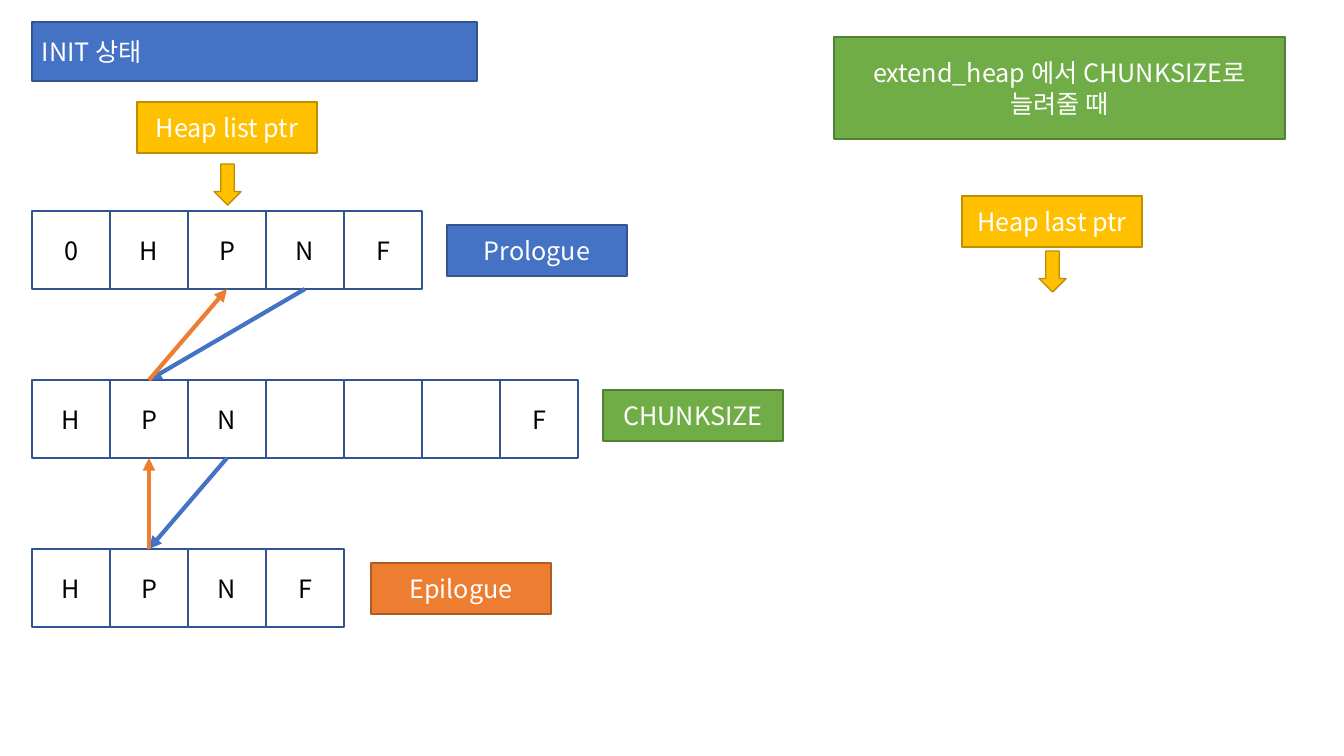
import dataclasses

import lxml.etree
import pptx
import pptx.dml.color
import pptx.enum.dml
import pptx.enum.shapes
import pptx.enum.text
import pptx.oxml.ns
import pptx.shapes.autoshape
import pptx.shapes.shapetree
import pptx.util

SHAPE = pptx.enum.shapes.MSO_SHAPE
ALIGN = pptx.enum.text.PP_ALIGN
TOP_SITE, BOTTOM_SITE = 0, 2  # connection sites of a rectangle


@dataclasses.dataclass(frozen=True)
class Paint:
    fill: str
    line: str
    text: str = "FFFFFF"


@dataclasses.dataclass(frozen=True)
class Theme:
    blue: Paint = Paint("4472C4", "325491")
    green: Paint = Paint("70AD47", "538035")
    orange: Paint = Paint("ED7D31", "AF5C24")
    yellow: Paint = Paint("FFC000", "BD8E00")
    cell: Paint = Paint("FFFFFF", "325491", "000000")
    font: str = "Noto Sans CJK KR"
    size: int = 18
    outline: int = 1
    link: int = 3


@dataclasses.dataclass(frozen=True)
class Box:
    text: str
    left: int
    top: int
    width: int
    height: int
    paint: Paint
    align: ALIGN = ALIGN.CENTER
    kind: SHAPE = SHAPE.RECTANGLE
    rotation: int = 0


@dataclasses.dataclass(frozen=True)
class Pointer:
    text: str
    left: int
    top: int
    arrow_drop: int  # from the label's top to the arrow's centre


@dataclasses.dataclass(frozen=True)
class Link:
    start: tuple[int, int]  # row, column
    end: tuple[int, int]
    paint: Paint


THEME = Theme()
SCALE = 914400 / 100.8
LEFT, FIRST_ROW, CELL, ROW_PITCH = 32, 211, 78, 169
LABEL_W, LABEL_H = 180, 51
ARROW_W, ARROW_H = 41, 27

HEADINGS = [
    Box("INIT 상태", 32, 22, 445, 59, THEME.blue, ALIGN.LEFT),
    Box("extend_heap 에서 CHUNKSIZE로 늘려줄 때", 834, 37, 451, 102, THEME.green),
]
BLOCKS = [
    ["0", "H", "P", "N", "F"],
    ["H", "P", "N", "", "", "", "F"],
    ["H", "P", "N", "F"],
]
LABELS = [
    Box("Prologue", 447, 225, LABEL_W, LABEL_H, THEME.blue),
    Box("CHUNKSIZE", 603, 390, LABEL_W, LABEL_H, THEME.green),
    Box("Epilogue", 371, 563, LABEL_W, LABEL_H, THEME.orange),
]
POINTERS = [
    Pointer("Heap list ptr", 137, 102, 82),
    Pointer("Heap last ptr", 962, 196, 75),
]
LINKS = [
    Link((0, 3), (1, 1), THEME.blue),
    Link((1, 2), (2, 1), THEME.blue),
    Link((2, 1), (1, 1), THEME.orange),
    Link((1, 1), (0, 2), THEME.orange),
]


def px(n: float) -> int:
    return round(n * SCALE)


def rgb(code: str) -> pptx.dml.color.RGBColor:
    return pptx.dml.color.RGBColor.from_string(code)


def draw_box(shapes: pptx.shapes.shapetree.SlideShapes,
             box: Box) -> pptx.shapes.autoshape.Shape:
    sp = shapes.add_shape(box.kind, px(box.left), px(box.top),
                          px(box.width), px(box.height))
    sp.shadow.inherit = False
    sp.rotation = box.rotation
    sp.fill.solid()
    sp.fill.fore_color.rgb = rgb(box.paint.fill)
    sp.line.color.rgb = rgb(box.paint.line)
    sp.line.width = pptx.util.Pt(THEME.outline)
    if box.text:
        tf = sp.text_frame
        tf.text = box.text
        tf.word_wrap = True
        tf.vertical_anchor = pptx.enum.text.MSO_ANCHOR.MIDDLE
        p = tf.paragraphs[0]
        p.alignment = box.align
        f = p.runs[0].font
        f.size = pptx.util.Pt(THEME.size)
        f.color.rgb = rgb(box.paint.text)
        f.name = THEME.font
        # Hangul takes its face from the East Asian font
        lxml.etree.SubElement(p.runs[0]._r.rPr, pptx.oxml.ns.qn("a:ea"),
                              typeface=THEME.font)
    return sp


def draw_pointer(shapes: pptx.shapes.shapetree.SlideShapes, ptr: Pointer) -> None:
    group = shapes.add_group_shape().shapes
    arrow_left = ptr.left + (LABEL_W - ARROW_W) // 2 + 1
    arrow_top = ptr.top + ptr.arrow_drop - ARROW_H // 2
    draw_box(group, Box("", arrow_left, arrow_top, ARROW_W, ARROW_H, THEME.yellow,
                        kind=SHAPE.RIGHT_ARROW, rotation=90))
    draw_box(group, Box(ptr.text, ptr.left, ptr.top, LABEL_W, LABEL_H, THEME.yellow))


def draw_link(shapes: pptx.shapes.shapetree.SlideShapes, link: Link,
              cells: dict[tuple[int, int], pptx.shapes.autoshape.Shape]) -> None:
    down = link.start[0] < link.end[0]
    cxn = shapes.add_connector(pptx.enum.shapes.MSO_CONNECTOR.STRAIGHT, 0, 0, 0, 0)
    cxn.begin_connect(cells[link.start], BOTTOM_SITE if down else TOP_SITE)
    cxn.end_connect(cells[link.end], TOP_SITE if down else BOTTOM_SITE)
    cxn.line.color.rgb = rgb(link.paint.fill)
    cxn.line.width = pptx.util.Pt(THEME.link)
    qn = pptx.oxml.ns.qn
    lxml.etree.SubElement(cxn.line._get_or_add_ln(), qn("a:tailEnd"), type="triangle")
    lxml.etree.SubElement(cxn._element.spPr, qn("a:effectLst"))


prs = pptx.Presentation()
prs.slide_width, prs.slide_height = px(1344), px(756)
s = prs.slides.add_slide(prs.slide_layouts[6])

# Headings
for heading in HEADINGS:
    draw_box(s.shapes, heading)

# Heap blocks, one row of cells each
cells = {
    (row, col): draw_box(s.shapes, Box(text, LEFT + col * CELL,
                                       FIRST_ROW + row * ROW_PITCH,
                                       CELL, CELL, THEME.cell))
    for row, block in enumerate(BLOCKS)
    for col, text in enumerate(block)
}
for label in LABELS:
    draw_box(s.shapes, label)

# Heap pointers
for pointer in POINTERS:
    draw_pointer(s.shapes, pointer)

# Next (blue) and previous (orange) links
for link in LINKS:
    draw_link(s.shapes, link, cells)

prs.save("out.pptx")
